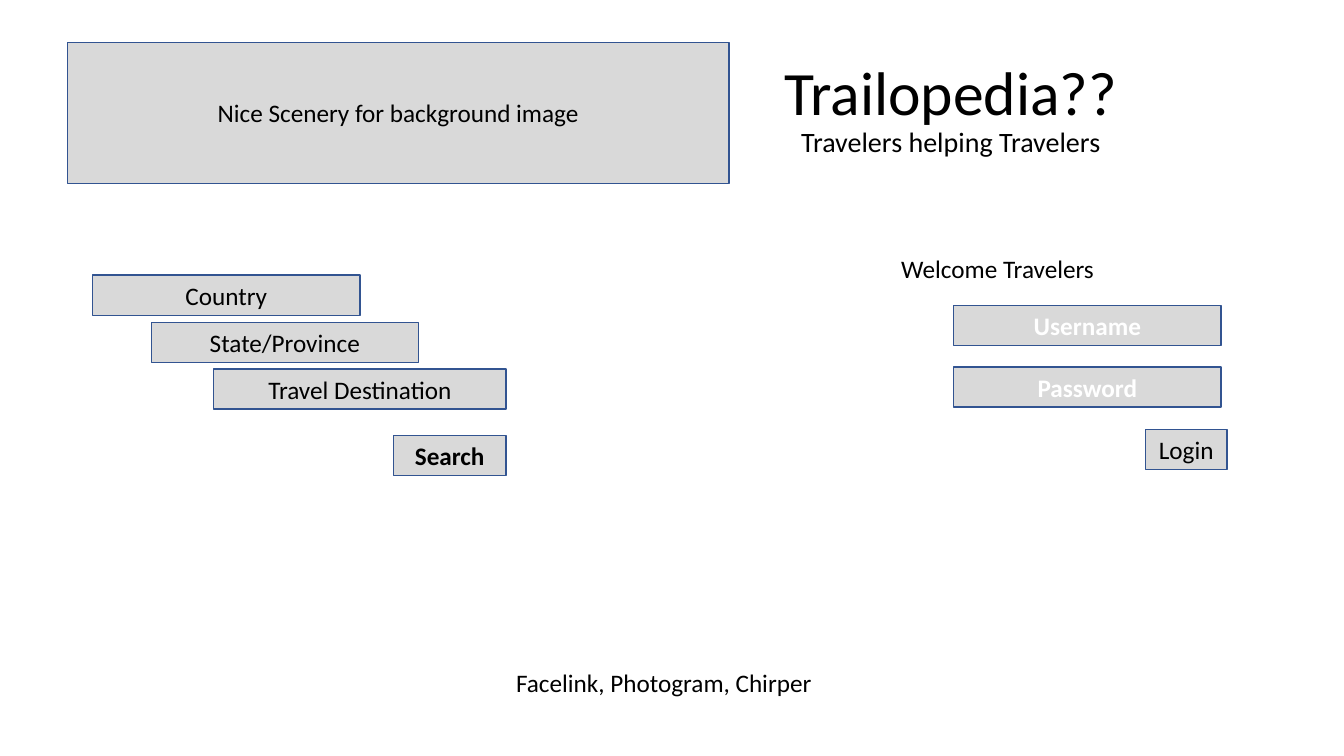
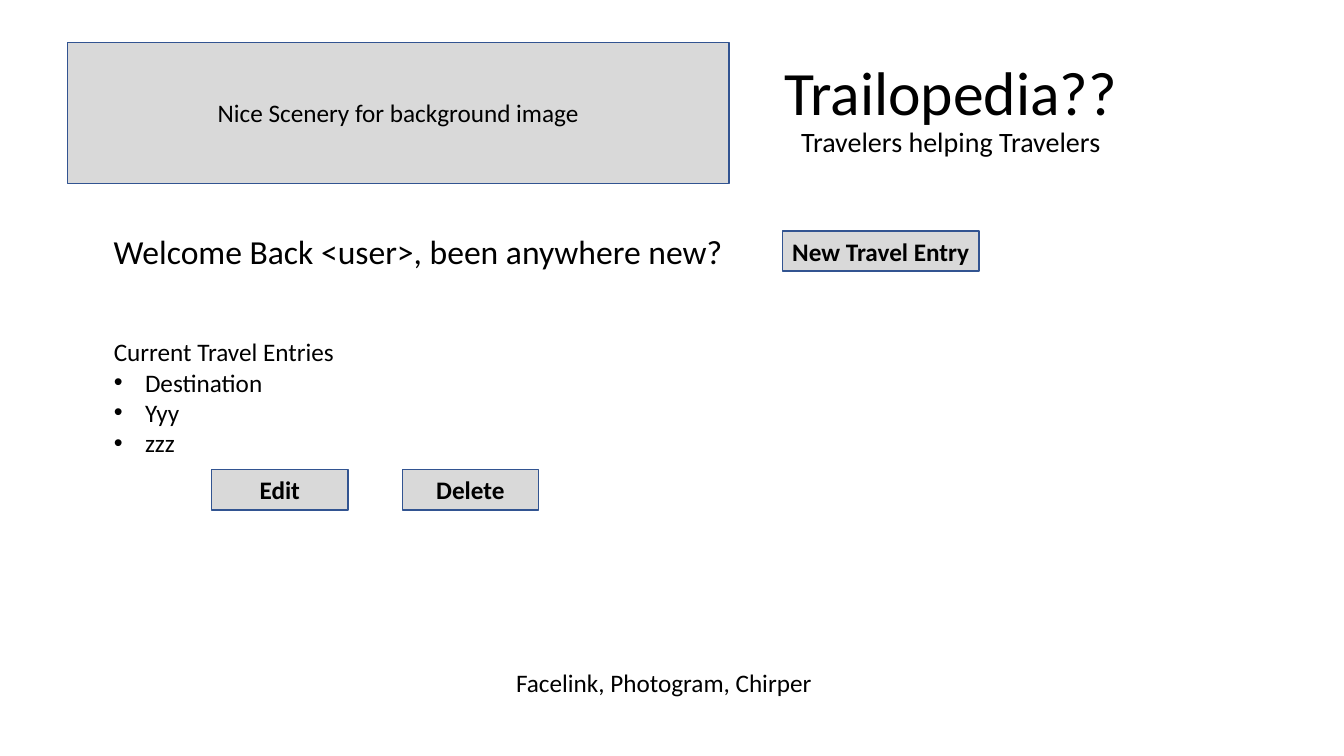
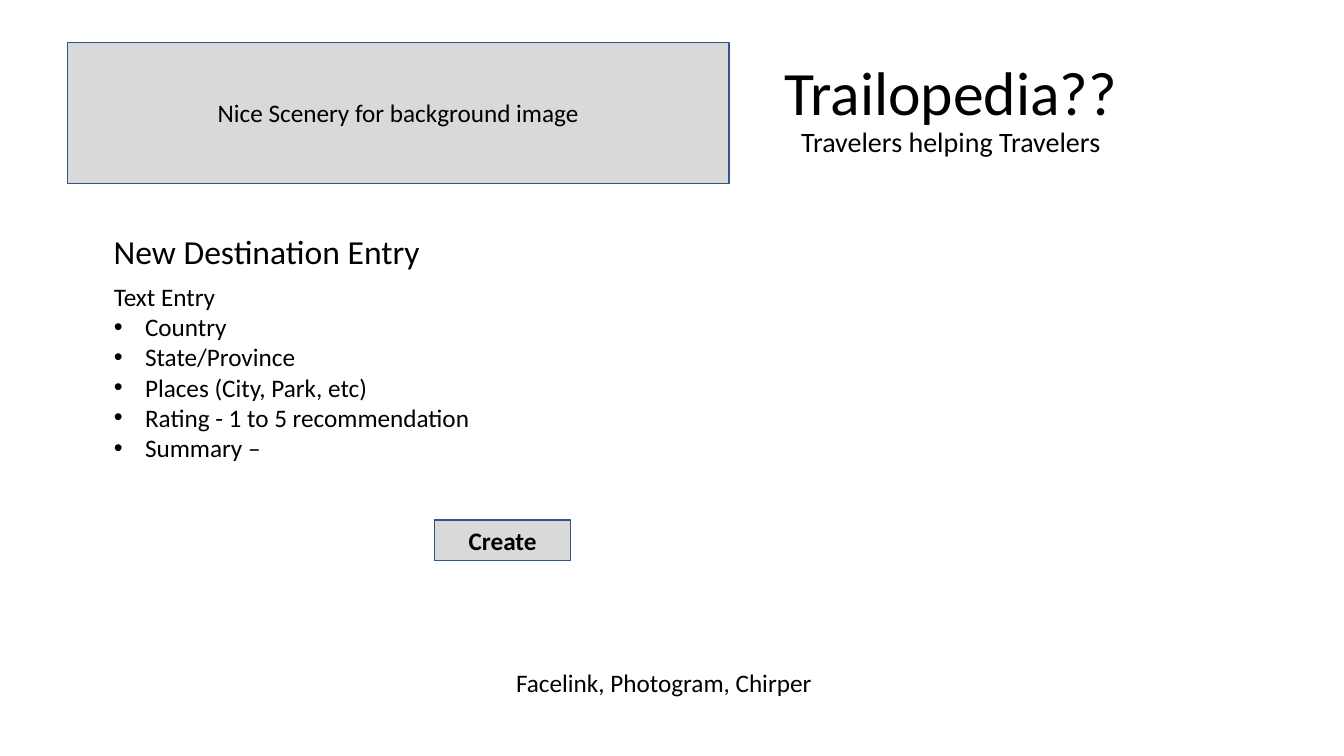
from lxml.etree import SubElement
from pptx import Presentation
from pptx.dml.color import RGBColor
from pptx.enum.shapes import MSO_SHAPE as Shape
from pptx.enum.text import MSO_ANCHOR as Anchor, MSO_AUTO_SIZE as AutoSize, PP_ALIGN as Align
from pptx.oxml.ns import qn
from pptx.util import Inches, Pt

FONT = "Calibri"
COLORS = {"text": "000000", "light": "FFFFFF", "box": "D9D9D9", "border": "325491"}
TITLE = [("Trailopedia??", 44), ("Travelers helping Travelers", 20)]
BANNER = "Nice Scenery for background image"
FOOTER = "Facelink, Photogram, Chirper"
BOX_HEIGHT = 0.4
FIELD_WIDTH = 2.65
BUTTON_WIDTH = 1.35
BODY_LEFT = 1.03
BULLET_INDENT = 0.31

PAGES = [
    {
        "boxes": [
            ("Country", 0.92, 2.73, FIELD_WIDTH, False, "text"),
            ("State/Province", 1.5, 3.2, FIELD_WIDTH, False, "text"),
            ("Travel Destination", 2.12, 3.66, 2.9, False, "text"),
            ("Search", 3.9, 4.32, 1.12, True, "text"),
            ("Username", 9.46, 3.03, FIELD_WIDTH, True, "light"),
            ("Password", 9.46, 3.64, FIELD_WIDTH, True, "light"),
            ("Login", 11.36, 4.26, 0.81, False, "text"),
        ],
        "greeting": "Welcome Travelers",
    },
    {
        "heading": "Welcome Back <user>, been anywhere new?",
        "boxes": [
            ("New Travel Entry", 7.76, 2.29, 1.95, True, "text"),
            ("Edit", 2.1, 4.66, BUTTON_WIDTH, True, "text"),
            ("Delete", 3.99, 4.66, BUTTON_WIDTH, True, "text"),
        ],
        "list": ("Current Travel Entries", 3.29, ["Destination", "Yyy", "zzz"]),
    },
    {
        "heading": "New Destination Entry",
        "boxes": [("Create", 4.31, 5.16, BUTTON_WIDTH, True, "text")],
        "list": ("Text Entry", 2.74, [
            "Country", "State/Province", "Places (City, Park, etc)",
            "Rating - 1 to 5 recommendation", "Summary –",
        ]),
    },
]


def color(name):
    return RGBColor.from_string(COLORS[name])


def set_font(font, size=18, bold=False, color_name="text"):
    font.name = FONT
    font.size = Pt(size)
    font.bold = bold
    font.color.rgb = color(color_name)


def add_box(slide, label, left, top, width, bold=False, color_name="text", height=BOX_HEIGHT):
    shape = slide.shapes.add_shape(
        Shape.RECTANGLE, Inches(left), Inches(top), Inches(width), Inches(height))
    shape.shadow.inherit = False
    shape.fill.solid()
    shape.fill.fore_color.rgb = color("box")
    shape.line.color.rgb = color("border")
    shape.line.width = Pt(1)
    frame = shape.text_frame
    frame.word_wrap = False
    frame.margin_left = frame.margin_right = Inches(0.05)
    frame.vertical_anchor = Anchor.MIDDLE
    paragraph = frame.paragraphs[0]
    paragraph.text = label
    paragraph.alignment = Align.CENTER
    set_font(paragraph.font, bold=bold, color_name=color_name)


def add_text(slide, lines, left, top, width, height, size=18):
    frame = slide.shapes.add_textbox(
        Inches(left), Inches(top), Inches(width), Inches(height)).text_frame
    frame.word_wrap = True
    frame.text = "\n".join(lines)
    for paragraph in frame.paragraphs:
        set_font(paragraph.font, size)
    return frame


def add_bullet(paragraph):
    properties = paragraph._p.get_or_add_pPr()
    properties.set("marL", str(Inches(BULLET_INDENT)))
    properties.set("indent", str(-Inches(BULLET_INDENT)))
    bullet_font = SubElement(properties, qn("a:buFont"))
    bullet_font.set("typeface", "Arial")
    bullet = SubElement(properties, qn("a:buChar"))
    bullet.set("char", "•")
    default_font = properties.find(qn("a:defRPr"))
    properties.append(default_font)


def add_title(slide):
    title = slide.shapes.title
    title.left, title.top = Inches(6.02), Inches(0.37)
    title.width, title.height = Inches(6.82), Inches(1.45)
    frame = title.text_frame
    frame.auto_size = AutoSize.NONE
    frame.word_wrap = True
    frame.vertical_anchor = Anchor.MIDDLE
    paragraph = frame.paragraphs[0]
    paragraph.alignment = Align.CENTER
    paragraph.line_spacing = 0.9
    for index, (text, size) in enumerate(TITLE):
        if index:
            paragraph.add_line_break()
        run = paragraph.add_run()
        run.text = text
        set_font(run.font, size)


def add_page(presentation, page):
    slide = presentation.slides.add_slide(presentation.slide_layouts[5])
    add_title(slide)
    add_text(slide, [FOOTER], 5.02, 6.57, 3.3, 0.4)
    add_box(slide, BANNER, 0.67, 0.42, 6.56, height=1.4)
    for box in page["boxes"]:
        add_box(slide, *box)
    if "greeting" in page:
        add_text(slide, [page["greeting"]], 8.84, 2.46, 2.27, 0.4)
    if "heading" in page:
        add_text(slide, [page["heading"]], BODY_LEFT, 2.24, 6.56, 0.5, 24)
    if "list" in page:
        caption, top, items = page["list"]
        height = 0.1 + 0.3 * (len(items) + 1)
        frame = add_text(slide, [caption, *items], BODY_LEFT, top, 5.28, height)
        for paragraph in frame.paragraphs[1:]:
            add_bullet(paragraph)


def main():
    presentation = Presentation()
    presentation.slide_width = Inches(13.33)
    presentation.slide_height = Inches(7.5)
    for page in PAGES:
        add_page(presentation, page)
    presentation.save("out.pptx")


if __name__ == "__main__":
    main()
